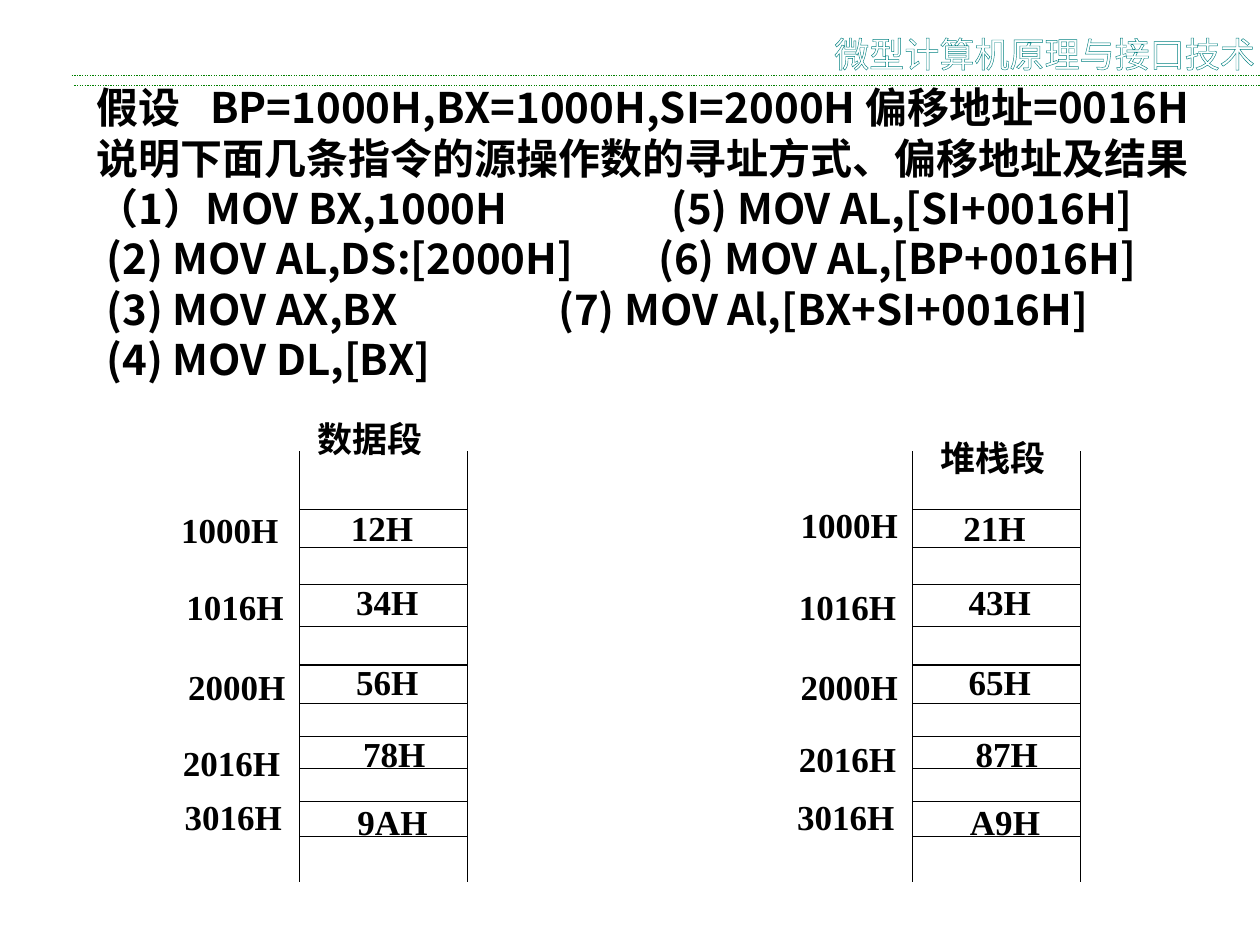
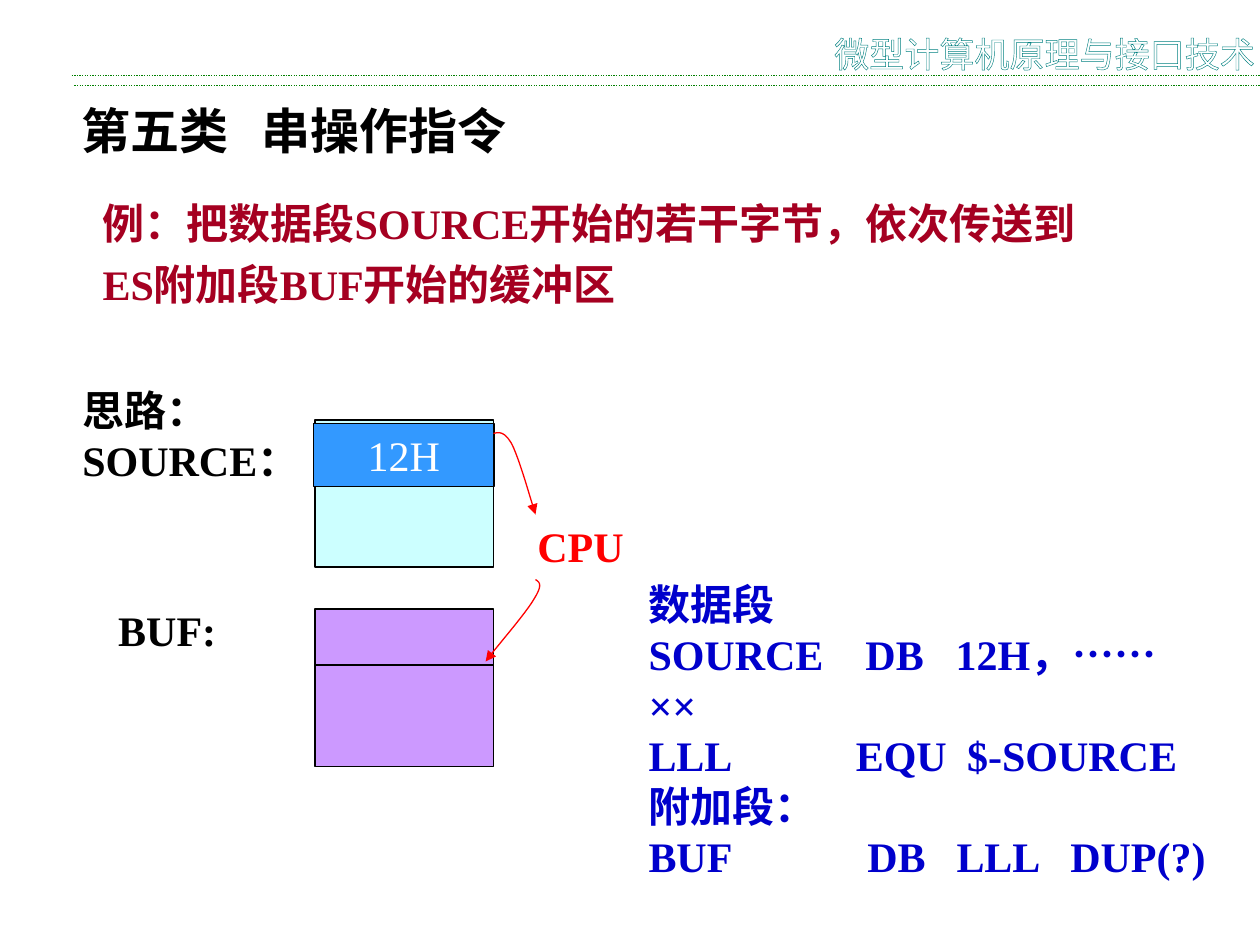
from lxml import etree
from pptx import Presentation
from pptx.dml.color import RGBColor
from pptx.enum.dml import MSO_LINE
from pptx.enum.shapes import MSO_CONNECTOR, MSO_SHAPE
from pptx.enum.text import MSO_ANCHOR, MSO_AUTO_SIZE, PP_ALIGN
from pptx.oxml.ns import qn
from pptx.util import Pt

LINE = MSO_CONNECTOR.STRAIGHT
RECT = MSO_SHAPE.RECTANGLE
DOT = MSO_LINE.ROUND_DOT
TOP, MIDDLE = MSO_ANCHOR.TOP, MSO_ANCHOR.MIDDLE
LEFT, CENTER = PP_ALIGN.LEFT, PP_ALIGN.CENTER
FIXED = MSO_AUTO_SIZE.NONE
HAN, ROMAN = "Noto Sans CJK SC", "Times New Roman"
BLACK, WHITE, RED = "000000", "FFFFFF", "FF0000"
GREEN, TEAL, WINE, BLUE = "008000", "008080", "A50021", "0000CC"
SKY, CYAN, LILAC = "3399FF", "CCFFFF", "CC99FF"
STEPS = 12


def paint(part, color):
    part.solid()
    part.fore_color.rgb = RGBColor.from_string(color)


def style(run, color, font):
    for key, value in font.items():
        setattr(run.font, key, value)
    paint(run.font.fill, color)
    etree.SubElement(run._r.get_or_add_rPr(), qn("a:ea"), typeface=HAN)


def write(shape, rows, color=BLACK, size=24, name=ROMAN, bold=True,
          align=LEFT, anchor=TOP, pitch=1.2, wrap=True):
    frame = shape.text_frame
    look = {"word_wrap": wrap, "auto_size": FIXED, "vertical_anchor": anchor,
            "margin_left": Pt(7.2), "margin_right": Pt(7.2),
            "margin_top": Pt(3.6), "margin_bottom": Pt(3.6)}
    for key, value in look.items():
        setattr(frame, key, value)
    font = {"size": Pt(size), "name": name, "bold": bold}
    for i, (text, *stops) in enumerate(rows):
        para = frame.add_paragraph() if i else frame.paragraphs[0]
        para.text = text
        para.alignment = align
        para.line_spacing = Pt(round(size * pitch, 1))
        if stops:
            tabs = etree.SubElement(para._p.get_or_add_pPr(), qn("a:tabLst"))
            for stop in stops:
                etree.SubElement(tabs, qn("a:tab"), pos=str(Pt(stop)), algn="l")
        for run in para.runs:
            style(run, color, font)
    return frame


def label(slide, box, rows, **form):
    return write(slide.shapes.add_textbox(*map(Pt, box)), rows, **form)


def rule(slide, start, end, color=BLACK):
    line = slide.shapes.add_connector(LINE, *map(Pt, (*start, *end)))
    paint(line.line.fill, color)
    line.line.width = Pt(0.75)
    etree.SubElement(line._element.spPr, qn("a:effectLst"))
    return line


def block(slide, box, color):
    shape = slide.shapes.add_shape(RECT, *map(Pt, box))
    shape.shadow.inherit = False
    paint(shape.fill, color)
    paint(shape.line.fill, BLACK)
    shape.line.width = Pt(0.75)
    return shape


def blend(a, b, c, d, t):
    u = 1 - t
    return u**3 * a + 3 * u * u * t * b + 3 * u * t * t * c + t**3 * d


def arrow(slide, start, *curves):
    points, last = [], start
    for curve in curves:
        axes = list(zip(last, *curve))
        points += [[Pt(blend(*axis, i / STEPS)) for axis in axes]
                   for i in range(1, STEPS + 1)]
        last = curve[-1]
    form = slide.shapes.build_freeform(*map(Pt, start))
    form.add_line_segments(points, close=False)
    shape = form.convert_to_shape()
    shape.shadow.inherit = False
    shape.fill.background()
    paint(shape.line.fill, RED)
    shape.line.width = Pt(0.75)
    etree.SubElement(shape.line._get_or_add_ln(), qn("a:tailEnd"), type="triangle")


def header(slide):
    for x, y in ((42.5, 49), (41, 43.2)):
        rule(slide, (x, y), (720, y), GREEN).line.dash_style = DOT
    frame = label(slide, (496, 15, 202, 30), [("微型计算机原理与接口技术",)],
                  color=WHITE, size=20, name=HAN, bold=False, align=CENTER,
                  wrap=False)
    props = frame.paragraphs[0].runs[0]._r.rPr
    edge = etree.Element(qn("a:ln"), w=str(Pt(0.75)))
    fill = etree.SubElement(edge, qn("a:solidFill"))
    etree.SubElement(fill, qn("a:srgbClr"), val=TEAL)
    props.insert(0, edge)


def memory(slide, left, top, name, shift, cells, marks):
    wide, high = 96, 246
    for x in (left, left + wide):
        rule(slide, (x, top), (x, top + high))
    for y in (33, 55, 76, 100, 122, 144, 163, 181, 200, 220):
        rule(slide, (left, top + y), (left + wide, top + y))

    def tag(x, y, text):
        label(slide, (left + x, top + y, 84, 32), [(text,)], size=20, align=CENTER)

    tag(*shift, name)
    spots = ((5, 28), (8, 70), (8, 116), (12, 157), (11, 196))
    for spot, cell in zip(spots, cells):
        tag(*spot, cell)
    for spot, code in zip(marks, ("1000H", "1016H", "2000H", "2016H", "3016H")):
        tag(*spot, code)


def modes(slide):
    header(slide)
    label(slide, (48, 43.2, 696, 180), [
        ("假设\tBP=1000H,BX=1000H,SI=2000H 偏移地址=0016H", 65),
        ("说明下面几条指令的源操作数的寻址方式、偏移地址及结果",),
        ("（1）MOV BX,1000H\t(5) MOV AL,[SI+0016H]", 328.5),
        ("\t(2) MOV AL,DS:[2000H]\t(6) MOV AL,[BP+0016H]", 6, 321),
        ("\t(3) MOV AX,BX\t(7) MOV Al,[BX+SI+0016H]", 6, 264),
        ("\t(4) MOV DL,[BX]", 6)], name=HAN)
    memory(slide, 171.3, 258, "数据段", (-2, -23),
           ("12H", "34H", "56H", "78H", "9AH"),
           ((-82, 29), (-79, 73), (-78, 119), (-81, 162), (-80, 193)))
    memory(slide, 521.3, 258, "堆栈段", (4, -12),
           ("21H", "43H", "65H", "87H", "A9H"),
           ((-78, 26), (-79, 73), (-78, 119), (-79, 160), (-80, 193)))


def flow(slide, left, top):
    label(slide, (left - 140, top - 24, 144, 65), [("思路：",), ("SOURCE：",)])
    label(slide, (left - 119.5, top + 102, 80, 36), [("BUF:",)])
    for y, high, color, cut in ((0, 84, CYAN, 30), (108, 90, LILAC, 32)):
        block(slide, (left, top + y, 102, high), color)
        rule(slide, (left, top + y + cut), (left + 102, top + y + cut))
    write(block(slide, (left - 0.7, top + 2, 103, 36), SKY), [("12H",)],
          color=WHITE, bold=False, align=CENTER, anchor=MIDDLE)
    label(slide, (left + 120, top + 54, 70, 36), [("CPU",)], color=RED)

    def at(*spots):
        return [(left + x, top + y) for x, y in spots]

    arrow(slide, *at((102, 7.7)), at((105, 7), (108, 6.2), (112.3, 13.4)),
          at((116.6, 21.4), (123.8, 47.3), (126, 54)))
    arrow(slide, *at((126, 91.2)), at((128.2, 92.6), (130.3, 94), (125.3, 102)),
          at((121, 110), (101.5, 132.2), (97.5, 138)))


def strings(slide):
    header(slide)
    title = slide.shapes.title
    title.left, title.top, title.width, title.height = map(Pt, (39.5, 54, 300, 41))
    write(title, [("第五类\t串操作指令", 103)], size=28)
    label(slide, (51.5, 103.5, 652, 77),
          [("例：把数据段SOURCE开始的若干字节，依次传送到",),
           ("ES附加段BUF开始的缓冲区",)], color=WINE, pitch=1.45)
    flow(slide, 180, 240)
    label(slide, (363.5, 327, 350, 180), [
        ("数据段",),
        ("SOURCE\tDB\t12H，……\v××", 124, 175.5),
        ("LLL\tEQU\t$-SOURCE", 118.5, 182),
        ("附加段：",),
        ("BUF\tDB\tLLL\tDUP(?)", 125, 176, 241)], color=BLUE)


def main():
    deck = Presentation()
    deck.slide_width, deck.slide_height = Pt(720), Pt(540)
    modes(deck.slides.add_slide(deck.slide_layouts[6]))
    strings(deck.slides.add_slide(deck.slide_layouts[5]))
    deck.save("out.pptx")


if __name__ == "__main__":
    main()
